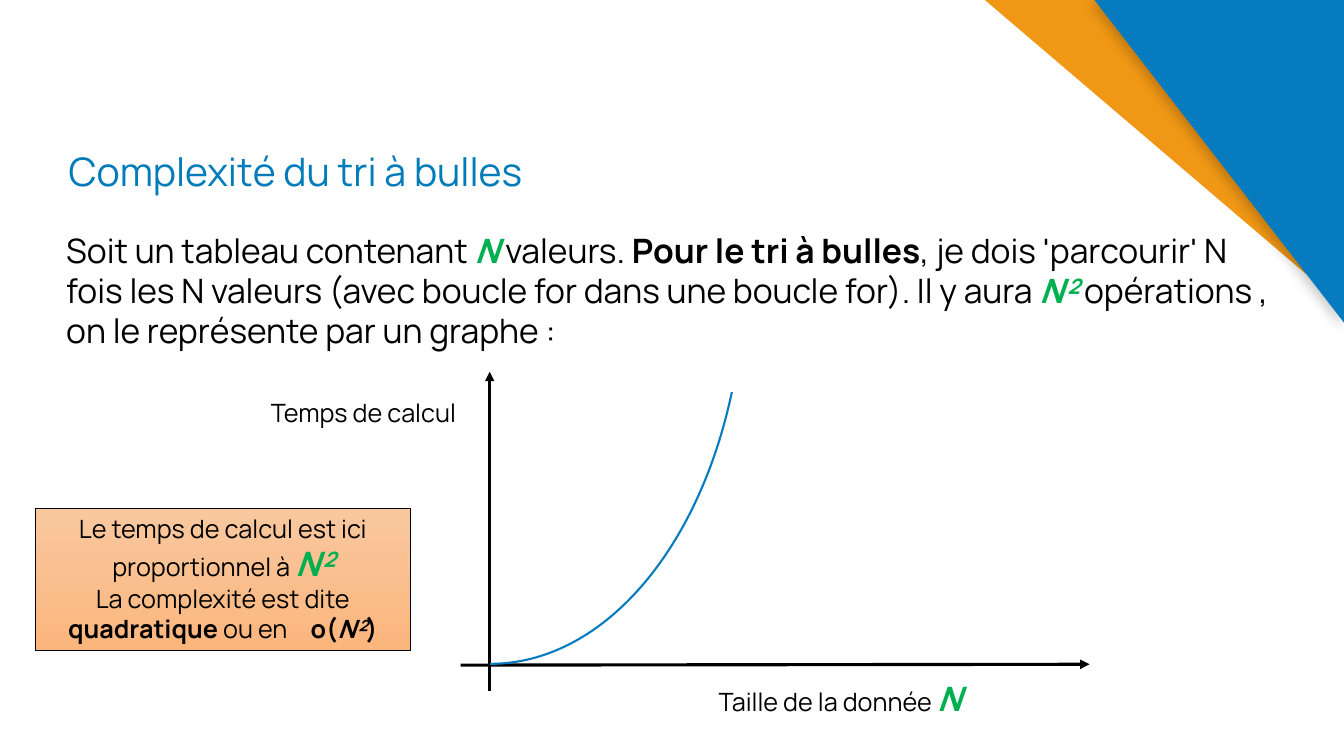
from lxml.etree import SubElement
from pptx import Presentation
from pptx.dml.color import RGBColor
from pptx.enum.shapes import MSO_CONNECTOR, MSO_SHAPE
from pptx.enum.text import MSO_ANCHOR, PP_ALIGN
from pptx.oxml.ns import qn
from pptx.util import Cm, Pt

FONT = "Manrope"
HUES = {
    "text": "000000",
    "title": "007CBA",
    "key": "00B050",
    "blue": "077BBF",
    "orange": "F09715",
    "pale": "F9C89F",
    "peach": "FBB67D",
}


def rgb(name):
    return RGBColor.from_string(HUES[name])


def add_run(para, text, size, hue="text", bold=False, slant=False, gap=0):
    """Add one run; gap is extra letter spacing in points."""
    run = para.add_run()
    run.text = text
    font = run.font
    font.name, font.size = FONT, Pt(size)
    font.bold, font.italic = bold, slant
    font.color.rgb = rgb(hue)
    if gap:
        font._element.set("spc", str(gap * 100))


def add_key(para, text):
    """Add a green formula run."""
    add_run(para, text, 24, "key", bold=True, slant=True)


def add_text(slide, left, top, width, height, wrap=True):
    """Add a text box and return its frame."""
    box = slide.shapes.add_textbox(Cm(left), Cm(top), Cm(width), Cm(height))
    box.text_frame.word_wrap = wrap
    return box.text_frame


def add_corner(slide, left, depth, hue):
    """Add a triangle in the top right corner."""
    edge = 33.87
    path = slide.shapes.build_freeform(Cm(left), Cm(0), scale=1.0)
    path.add_line_segments([(Cm(edge), Cm(0)), (Cm(edge), Cm(depth))])
    shape = path.convert_to_shape()
    shape.shadow.inherit = False
    shape.fill.solid()
    shape.fill.fore_color.rgb = rgb(hue)
    shape.line.fill.background()
    return shape


def add_shadow(shape):
    effects = shape._element.spPr.find(qn("a:effectLst"))
    outer = SubElement(effects, qn("a:outerShdw"), blurRad=str(Pt(9)),
                       dist=str(Pt(3)), dir="8100000", algn="tr", rotWithShape="0")
    color = SubElement(outer, qn("a:srgbClr"), val=HUES["text"])
    SubElement(color, qn("a:alpha"), val="22000")


def add_axis(slide, start, end):
    ends = [Cm(v) for v in (*start, *end)]
    axis = slide.shapes.add_connector(MSO_CONNECTOR.STRAIGHT, *ends)
    axis.line.color.rgb = rgb("text")
    axis.line.width = Pt(2.25)
    SubElement(axis.line._get_or_add_ln(), qn("a:tailEnd"), type="triangle")
    SubElement(axis._element.spPr, qn("a:effectLst"))


def add_curve(slide):
    arc = slide.shapes.add_shape(MSO_SHAPE.ARC, Cm(5.94), Cm(-3.23), Cm(12.83), Cm(19.96))
    arc.adjustments[0] = 162
    arc.adjustments[1] = 199.68
    arc._element.spPr.find(qn("a:xfrm")).set("flipV", "1")
    arc.shadow.inherit = False
    arc.fill.background()
    arc.line.color.rgb = rgb("blue")
    arc.line.width = Pt(1.5)


def add_note(slide):
    """Add the shaded box with the conclusion."""
    box = slide.shapes.add_shape(MSO_SHAPE.RECTANGLE, Cm(0.89), Cm(12.8), Cm(9.45), Cm(3.58))
    box.shadow.inherit = False
    box.fill.gradient()
    box.fill.gradient_angle = 270
    for stop, hue in zip(box.fill.gradient_stops, ("pale", "peach")):
        stop.color.rgb = rgb(hue)
    box.line.color.rgb = rgb("text")
    box.line.width = Pt(0.5)
    frame = box.text_frame
    frame.word_wrap = True
    frame.vertical_anchor = MSO_ANCHOR.TOP

    time, order = frame.paragraphs[0], frame.add_paragraph()
    time.alignment = order.alignment = PP_ALIGN.CENTER
    add_run(time, "Le temps de calcul est ici proportionnel à ", 18)
    add_key(time, "N²")
    add_run(order, "La complexité est dite ", 18)
    add_run(order, "quadratique", 18, bold=True)
    add_run(order, " ou en", 18)
    add_run(order, " ", 18, gap=13)
    add_run(order, "o(", 18, bold=True)
    add_run(order, "N²", 18, bold=True, slant=True)
    add_run(order, ")", 18, bold=True)


def add_title(slide):
    frame = add_text(slide, 1.73, 2.69, 20.12, 2.34)
    frame.margin_left = 0
    frame.vertical_anchor = MSO_ANCHOR.BOTTOM
    para = frame.paragraphs[0]
    para.line_spacing = 0.9
    add_run(para, "Complexité du tri à bulles", 28, "title")


def add_body(slide):
    para = add_text(slide, 1.42, 5.66, 31.27, 3.33).paragraphs[0]
    add_run(para, "Soit un tableau contenant ", 24)
    add_key(para, "N")
    add_run(para, " valeurs. ", 24)
    add_run(para, "Pour le tri à bulles", 24, bold=True)
    add_run(para, ", je dois 'parcourir' N fois les N valeurs "
                  "(avec boucle for dans une boucle for). Il y aura ", 24)
    add_key(para, "N²")
    add_run(para, " opérations , on le représente par un graphe :", 24)


def add_graph(slide):
    size = add_text(slide, 17.86, 16.97, 7.34, 1.27, wrap=False).paragraphs[0]
    add_run(size, "Taille de la donnée ", 18)
    add_key(size, "N")
    time = add_text(slide, 6.58, 9.88, 5.77, 1.02, wrap=False).paragraphs[0]
    add_run(time, "Temps de calcul", 18)
    add_axis(slide, (12.34, 17.42), (12.34, 9.37))
    add_axis(slide, (11.61, 16.76), (27.46, 16.74))


def main():
    deck = Presentation()
    deck.slide_width, deck.slide_height = Cm(33.87), Cm(19.05)
    slide = deck.slides.add_slide(deck.slide_layouts[6])
    add_corner(slide, 24.82, 7.72, "orange")
    add_shadow(add_corner(slide, 27.58, 8.13, "blue"))
    add_title(slide)
    add_body(slide)
    add_graph(slide)
    add_note(slide)
    add_curve(slide)
    deck.save("out.pptx")


if __name__ == "__main__":
    main()
